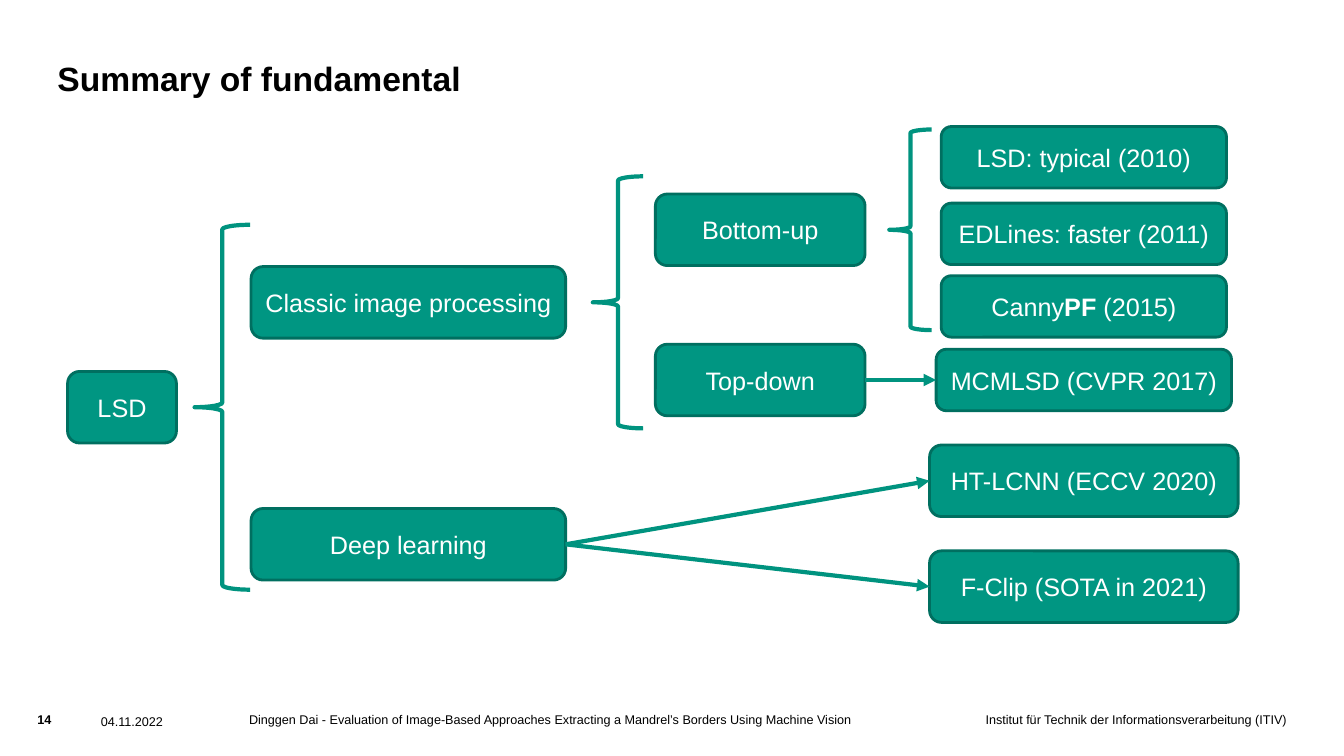
"""Build the slide that sums up line segment detection methods as a tree."""
from lxml import etree
from pptx import Presentation
from pptx.dml.color import RGBColor
from pptx.enum.shapes import MSO_CONNECTOR, MSO_SHAPE
from pptx.enum.text import MSO_ANCHOR, PP_ALIGN
from pptx.oxml.ns import qn
from pptx.util import Inches, Pt

ROUNDED, BRACE = MSO_SHAPE.ROUNDED_RECTANGLE, MSO_SHAPE.LEFT_BRACE
STRAIGHT = MSO_CONNECTOR.STRAIGHT
LEFT, CENTER, RIGHT = PP_ALIGN.LEFT, PP_ALIGN.CENTER, PP_ALIGN.RIGHT
TOP, MIDDLE, BOTTOM = MSO_ANCHOR.TOP, MSO_ANCHOR.MIDDLE, MSO_ANCHOR.BOTTOM

BLACK = RGBColor(0x00, 0x00, 0x00)
WHITE = RGBColor(0xFF, 0xFF, 0xFF)
GREEN = RGBColor(0x00, 0x96, 0x82)
DARK_GREEN = RGBColor(0x00, 0x6F, 0x60)
LINE_GREEN = RGBColor(0x00, 0x93, 0x7F)
FONT = "Arial"

# Text, left, top, width, height, size, bold, alignment, anchor
LABELS = [
    ("Summary of fundamental", 0.57, 0.36, 10.08, 0.61, 24, True, LEFT, BOTTOM),
    ("14", 0.37, 7.06, 0.47, 0.24, 9, True, LEFT, TOP),
    ("04.11.2022", 1, 7.08, 1.27, 0.12, 9, False, LEFT, TOP),
    ("Dinggen Dai - Evaluation of Image-Based Approaches Extracting a Mandrel’s "
     "Borders Using Machine Vision", 2.47, 7.06, 6.28, 0.39, 9, False, LEFT, TOP),
    ("Institut für Technik der Informationsverarbeitung (ITIV)",
     8.57, 7.06, 4.19, 0.39, 9, False, RIGHT, TOP),
]

COLUMN_CENTERS = {"root": 1.21, "family": 4.05, "direction": 7.54, "method": 10.75}
TALL, LOW = 0.71, 0.61

# Key: text spans, column, row center, width, height
NODES = {
    "lsd": (["LSD"], "root", 4.04, 1.08, TALL),
    "classic": (["Classic image processing"], "family", 3.0, 3.12, TALL),
    "deep": (["Deep learning"], "family", 5.4, 3.12, TALL),
    "bottom_up": (["Bottom-up"], "direction", 2.28, 2.08, TALL),
    "top_down": (["Top-down"], "direction", 3.77, 2.08, TALL),
    "typical": (["LSD: typical (2010)"], "method", 1.56, 2.83, LOW),
    "edlines": (["EDLines: faster (2011)"], "method", 2.32, 2.83, LOW),
    "cannypf": (["Canny", "PF", " (2015)"], "method", 3.04, 2.83, LOW),
    "mcmlsd": (["MCMLSD (CVPR 2017)"], "method", 3.77, 2.93, LOW),
    "ht_lcnn": (["HT-LCNN (ECCV 2020)"], "method", 4.77, 3.06, TALL),
    "f_clip": (["F-Clip (SOTA in 2021)"], "method", 5.82, 3.06, TALL),
}
BOLD_SPANS = {"PF"}

# Parent, left, width, height
BRACES = [("lsd", 1.93, 0.55, 3.62), ("classic", 5.88, 0.5, 2.5),
          ("bottom_up", 8.82, 0.42, 1.99)]
ARROWS = [("top_down", "mcmlsd"), ("deep", "ht_lcnn"), ("deep", "f_clip")]


def write(frame, spans, size, color, bold, alignment, anchor):
    frame.vertical_anchor = anchor
    para = frame.paragraphs[0]
    para.alignment = alignment
    for text in spans:
        span = para.add_run()
        span.text = text
        span.font.name = FONT
        span.font.size = Pt(size)
        span.font.bold = bold or text in BOLD_SPANS
        span.font.color.rgb = color


def add_label(page, text, left, top, width, height, size, bold, alignment, anchor):
    box = page.shapes.add_textbox(*map(Inches, (left, top, width, height)))
    frame = box.text_frame
    frame.word_wrap = True
    frame.margin_left = frame.margin_right = frame.margin_top = frame.margin_bottom = 0
    write(frame, [text], size, BLACK, bold, alignment, anchor)


def add_outlined(page, kind, left, middle, width, height, color, weight):
    shape = page.shapes.add_shape(
        kind, *map(Inches, (left, middle - height / 2, width, height)))
    shape.shadow.inherit = False
    shape.line.color.rgb = color
    shape.line.width = Pt(weight)
    return shape


def node_edges(key):
    _, column, middle, width, _ = NODES[key]
    center = COLUMN_CENTERS[column]
    return center - width / 2, center + width / 2, middle


def add_node(page, key):
    spans, _, middle, width, height = NODES[key]
    box = add_outlined(page, ROUNDED, node_edges(key)[0], middle, width, height,
                       DARK_GREEN, 2)
    box.fill.solid()
    box.fill.fore_color.rgb = GREEN
    box.text_frame.word_wrap = False
    write(box.text_frame, spans, 18, WHITE, False, CENTER, MIDDLE)


def add_brace(page, parent, left, width, height):
    brace = add_outlined(page, BRACE, left, NODES[parent][2], width, height,
                         LINE_GREEN, 3)
    brace.fill.background()


def add_arrow(page, parent, child):
    _, start, start_row = node_edges(parent)
    end, _, end_row = node_edges(child)
    arrow = page.shapes.add_connector(
        STRAIGHT, *map(Inches, (start, start_row, end, end_row)))
    arrow.line.color.rgb = LINE_GREEN
    arrow.line.width = Pt(3)
    etree.SubElement(arrow.line._get_or_add_ln(), qn("a:tailEnd"), type="triangle")
    etree.SubElement(arrow._element.spPr, qn("a:effectLst"))


def main():
    deck = Presentation()
    deck.slide_width, deck.slide_height = Inches(13.33), Inches(7.5)
    page = deck.slides.add_slide(deck.slide_layouts[6])
    for label in LABELS:
        add_label(page, *label)
    for key in NODES:
        add_node(page, key)
    for brace in BRACES:
        add_brace(page, *brace)
    for arrow in ARROWS:
        add_arrow(page, *arrow)
    deck.save("out.pptx")


if __name__ == "__main__":
    main()
